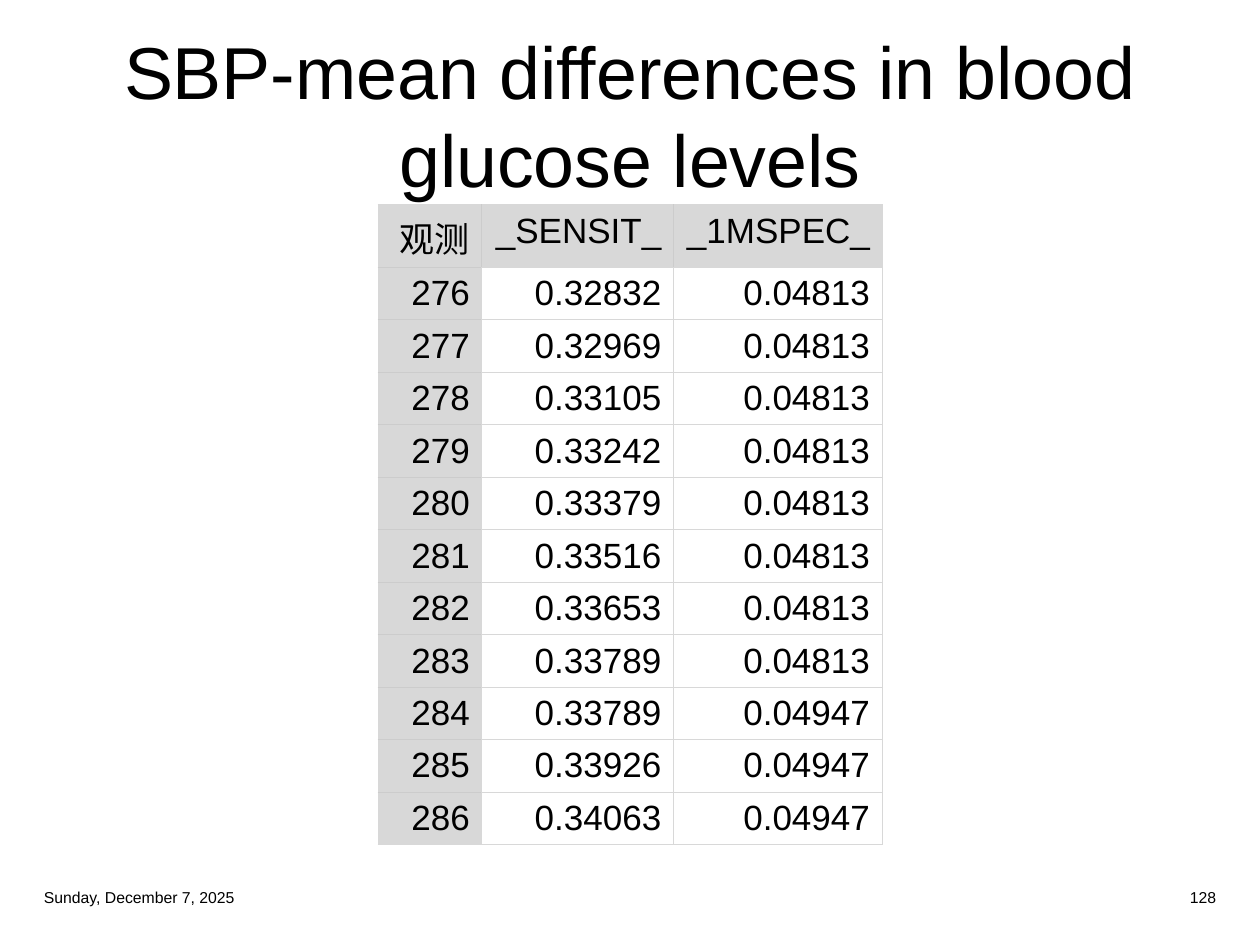
import pptx
import pptx.dml.color
import pptx.enum.text
import pptx.oxml
import pptx.oxml.ns
import pptx.util

PX = pptx.util.Inches(1) // 96
ALIGN = pptx.enum.text.PP_ALIGN
MIDDLE = pptx.enum.text.MSO_ANCHOR.MIDDLE
THEME = {
    "font": "Arial", "text": "000000", "shade": "D8D8D8", "inner": "CCCCCC",
    "title": 42, "table": 20, "footer": 9, "border": 0.5,
}


def write(frame, text, size, align):
    frame.text = text
    para = frame.paragraphs[0]
    para.alignment = align
    for span in para.runs:
        formats = {"name": THEME["font"], "size": pptx.util.Pt(THEME[size])}
        for name, value in formats.items():
            setattr(span.font, name, value)
        span.font.color.rgb = pptx.dml.color.RGBColor.from_string(THEME["text"])


def draw_border(cell, side, color):
    width = int(pptx.util.Pt(THEME["border"]))
    cell._tc.get_or_add_tcPr().append(pptx.oxml.parse_xml(
        f'<a:ln{side} {pptx.oxml.ns.nsdecls("a")} w="{width}">'
        f'<a:solidFill><a:srgbClr val="{color}"/></a:solidFill></a:ln{side}>'))


deck = pptx.Presentation()
deck.slide_width, deck.slide_height = 960 * PX, 720 * PX
page = deck.slides.add_slide(deck.slide_layouts[5])

title = page.shapes.title
bounds = {"left": 24, "top": 24, "width": 912, "height": 126}
for name, value in bounds.items():
    setattr(title, name, value * PX)
frame_formats = {
    "word_wrap": True,
    "vertical_anchor": MIDDLE,
    "auto_size": pptx.enum.text.MSO_AUTO_SIZE.NONE,
}
for name, value in frame_formats.items():
    setattr(title.text_frame, name, value)
write(title.text_frame, "SBP-mean differences in blood\vglucose levels", "title", ALIGN.CENTER)

sensitivities = [
    "0.32832", "0.32969", "0.33105", "0.33242", "0.33379", "0.33516",
    "0.33653", "0.33789", "0.33789", "0.33926", "0.34063",
]
specificities = ["0.04813"] * 8 + ["0.04947"] * 3
rows = [("观测", "_SENSIT_", "_1MSPEC_")]
for number, values in enumerate(zip(sensitivities, specificities), 276):
    rows.append((str(number), *values))

column_widths = [79, 146, 159]
row_height = 40
table = page.shapes.add_table(
    len(rows), len(column_widths), 288 * PX, 156 * PX,
    sum(column_widths) * PX, len(rows) * row_height * PX).table
for column, width in zip(table.columns, column_widths):
    column.width = width * PX
for row in table.rows:
    row.height = row_height * PX

margins = {"margin_left": 4, "margin_right": 9, "margin_top": 5, "margin_bottom": 4}
for row_index, values in enumerate(rows):
    for column_index, value in enumerate(values):
        cell = table.cell(row_index, column_index)
        for name, margin in margins.items():
            setattr(cell, name, margin * PX)
        write(cell.text_frame, value, "table", ALIGN.RIGHT)
        is_header = row_index == 0 or column_index == 0
        outer_edges = {
            "L": column_index == 0,
            "R": column_index == len(values) - 1,
            "T": row_index == 0,
            "B": row_index == len(rows) - 1,
        }
        for side, is_outer in outer_edges.items():
            draw_border(cell, side, THEME["inner" if is_header and not is_outer else "shade"])
        if is_header:
            cell.fill.solid()
            cell.fill.fore_color.rgb = pptx.dml.color.RGBColor.from_string(THEME["shade"])
        else:
            cell.fill.background()

footers = [(24, "Sunday, December 7, 2025", ALIGN.LEFT), (708, "128", ALIGN.RIGHT)]
for left, text, align in footers:
    box = page.shapes.add_textbox(left * PX, 671 * PX, 228 * PX, 25 * PX)
    box.text_frame.word_wrap = True
    box.text_frame.vertical_anchor = MIDDLE
    write(box.text_frame, text, "footer", align)

deck.save("out.pptx")
